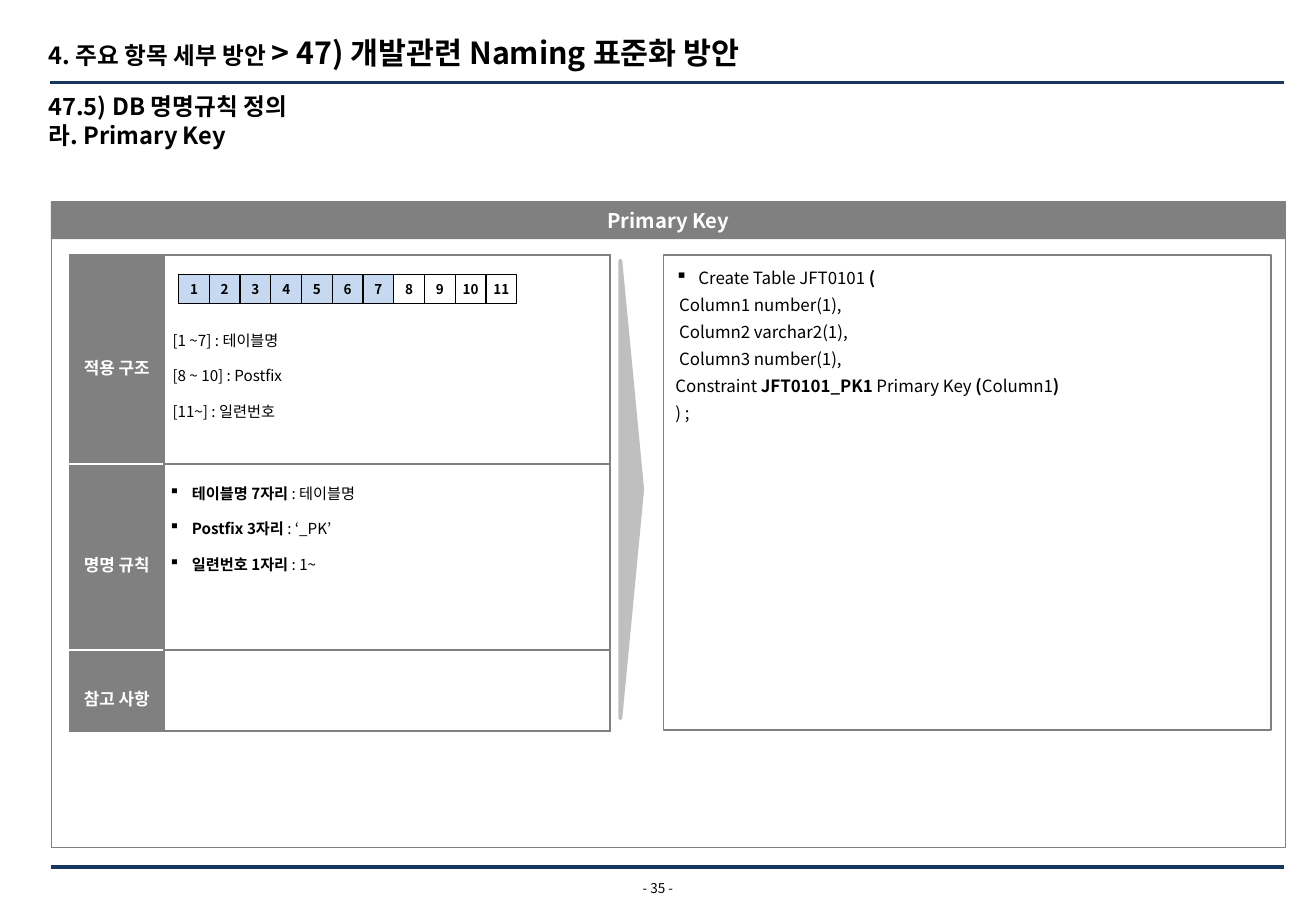
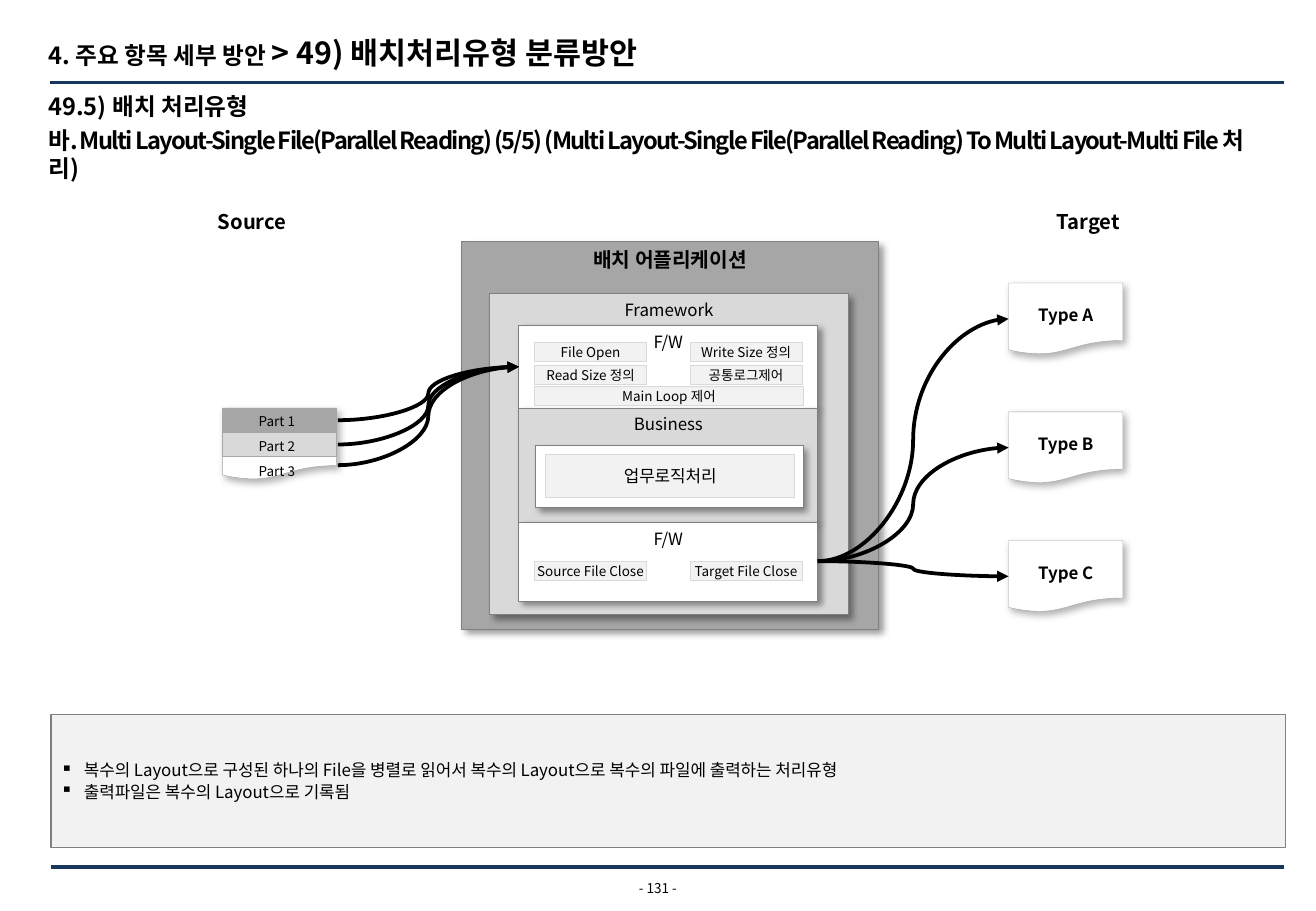
from typing import NamedTuple, Optional

from lxml import etree
from pptx import Presentation
from pptx.dml.color import RGBColor
from pptx.enum.shapes import MSO_CONNECTOR, MSO_SHAPE
from pptx.enum.text import MSO_ANCHOR, MSO_AUTO_SIZE, PP_ALIGN
from pptx.oxml.ns import qn
from pptx.util import Emu, Inches, Pt

RECT, TRIANGLE = MSO_SHAPE.RECTANGLE, MSO_SHAPE.ISOSCELES_TRIANGLE
DOCUMENT = MSO_SHAPE.FLOWCHART_DOCUMENT
STRAIGHT, CURVE = MSO_CONNECTOR.STRAIGHT, MSO_CONNECTOR.CURVE
LEFT, CENTER = PP_ALIGN.LEFT, PP_ALIGN.CENTER
TOP, MIDDLE = MSO_ANCHOR.TOP, MSO_ANCHOR.MIDDLE

BLACK = RGBColor(0x00, 0x00, 0x00)
WHITE = RGBColor(0xFF, 0xFF, 0xFF)
NAVY = RGBColor(0x17, 0x37, 0x5E)
SKY = RGBColor(0xC6, 0xD9, 0xF1)
GRAY = RGBColor(0x80, 0x80, 0x80)
DARK = RGBColor(0xA6, 0xA6, 0xA6)
SILVER = RGBColor(0xBF, 0xBF, 0xBF)
LIGHT = RGBColor(0xD9, 0xD9, 0xD9)
PALE = RGBColor(0xF2, 0xF2, 0xF2)

FONT = "Noto Sans CJK KR"
COLS, ROWS = 108.3, 75
INSETS = (1, 0.5, 1, 0.5)
FLAT = (0, 0, 0, 0)
HEAD_INSETS = (1, 0, 1, 0)
PANEL_SHADOW = (40, 4, 3, 45)
PAGE_SHADOW = (30, 4.5, 2.6, 53)


class Run(NamedTuple):
    text: str
    bold: Optional[bool] = None
    size: Optional[float] = None


def add_xml(parent, tag, **attrs):
    el = etree.SubElement(parent, qn(tag))
    for key, value in attrs.items():
        el.set(key, str(value))
    return el


class Deck:
    def __init__(self):
        self.prs = Presentation()
        self.prs.slide_width = Inches(10.83)
        self.prs.slide_height = Inches(7.5)
        self.s = None

    def x(self, cols):
        return Emu(round(cols * self.prs.slide_width / COLS))

    def y(self, rows):
        return Emu(round(rows * self.prs.slide_height / ROWS))

    def area(self, x, y, w, h):
        return self.x(x), self.y(y), self.x(w), self.y(h)

    def margins(self, target, insets):
        left, top, right, bottom = insets
        target.margin_left, target.margin_right = self.x(left), self.x(right)
        target.margin_top, target.margin_bottom = self.y(top), self.y(bottom)

    def paragraphs(self, tf, paras, size=10, bold=False, color=BLACK, align=LEFT,
                   leading=None, before=0, bullets=0, tracking=None):
        for i, runs in enumerate(paras):
            p = tf.paragraphs[0] if i == 0 else tf.add_paragraph()
            if i < bullets:
                pPr = p._p.get_or_add_pPr()
                pPr.set("marL", str(self.x(1.9)))
                pPr.set("indent", str(-self.x(1.9)))
                add_xml(pPr, "a:buChar", char="▪")
            p.alignment = align
            if leading:
                p.line_spacing = leading
            if i and before:
                p.space_before = Pt(before)
            for run in [Run(runs)] if isinstance(runs, str) else runs:
                r = p.add_run()
                r.text = run.text
                r.font.size = Pt(run.size or size)
                r.font.bold = bold if run.bold is None else run.bold
                r.font.color.rgb = color
                r.font.name = FONT
                rPr = r._r.get_or_add_rPr()
                add_xml(rPr, "a:ea", typeface=FONT)
                if i and tracking:
                    rPr.set("spc", str(tracking))

    def frame(self, sp, paras, anchor, insets, wrap, **style):
        tf = sp.text_frame
        tf.auto_size = MSO_AUTO_SIZE.NONE
        tf.word_wrap = wrap
        tf.vertical_anchor = anchor
        self.margins(tf, insets)
        self.paragraphs(tf, paras, **style)

    def text(self, at, paras, anchor=TOP, insets=INSETS, wrap=True, **style):
        sp = self.s.shapes.add_textbox(*self.area(*at))
        self.frame(sp, paras, anchor, insets, wrap, **style)

    def shape(self, at, kind=RECT, fill=None, line=None, weight=0.5, shadow=None,
              paras=(), anchor=MIDDLE, insets=INSETS, wrap=False, align=CENTER, **style):
        sp = self.s.shapes.add_shape(kind, *self.area(*at))
        if fill is None:
            sp.fill.background()
        else:
            sp.fill.solid()
            sp.fill.fore_color.rgb = fill
        if line is None:
            sp.line.fill.background()
        else:
            sp.line.color.rgb = line
            sp.line.width = Pt(weight)
        sp.shadow.inherit = False
        if shadow:
            alpha, blur, dist, angle = shadow
            outer = add_xml(sp._element.spPr.find(qn("a:effectLst")), "a:outerShdw",
                            blurRad=Pt(blur), dist=Pt(dist), dir=angle * 60000,
                            algn="tl", rotWithShape=0)
            clr = add_xml(outer, "a:srgbClr", val=BLACK)
            add_xml(clr, "a:alpha", val=alpha * 1000)
        if paras:
            self.frame(sp, paras, anchor, insets, wrap, align=align, **style)
        return sp

    def line(self, start, end, kind=STRAIGHT, color=NAVY, arrow=False):
        cn = self.s.shapes.add_connector(kind, self.x(start[0]), self.y(start[1]),
                                         self.x(end[0]), self.y(end[1]))
        cn.line.color.rgb = color
        cn.line.width = Pt(2.25)
        if arrow:
            add_xml(cn.line._get_or_add_ln(), "a:tailEnd", type="triangle")
        add_xml(cn._element.spPr, "a:effectLst")

    def curve(self, start, end):
        self.line(start, end, CURVE, BLACK, True)

    def slide(self, topic, page, heading, **heading_style):
        self.s = self.prs.slides.add_slide(self.prs.slide_layouts[5])
        sp = self.s.shapes.title
        sp.left, sp.top, sp.width, sp.height = self.area(3, 2.5, 102.8, 3.6)
        title = [[Run("4. 주요 항목 세부 방안 ", size=14), Run("> " + topic)]]
        self.frame(sp, title, MIDDLE, HEAD_INSETS, True, size=18, bold=True)
        self.text((3, 7.6, 102.8, 6.3), heading, insets=HEAD_INSETS,
                  size=14, bold=True, **heading_style)
        self.line((4.1, 6.8), (105.7, 6.8))
        self.line((4.2, 71.4), (105.7, 71.4))
        self.text((50.8, 72.5, 6.7, 1.3), [f"- {page} -"], MIDDLE, FLAT, size=8, align=CENTER)

    def cell(self, cell, paras, fill, borders, anchor, insets, **style):
        tcPr = cell._tc.get_or_add_tcPr()
        for side, color in zip("LRTB", borders):
            ln = add_xml(tcPr, "a:ln" + side, w=Pt(1))
            add_xml(add_xml(ln, "a:solidFill"), "a:srgbClr", val=color)
        if fill is None:
            cell.fill.background()
        else:
            cell.fill.solid()
            cell.fill.fore_color.rgb = fill
        cell.vertical_anchor = anchor
        self.margins(cell, insets)
        self.paragraphs(cell.text_frame, paras, leading=1.6, **style)

    def rule_table(self, x, y, widths, rows):
        at = self.area(x, y, sum(widths), sum(row[0] for row in rows))
        table = self.s.shapes.add_table(len(rows), len(widths), *at).table
        table.first_row = table.horz_banding = False
        for column, width in zip(table.columns, widths):
            column.width = self.x(width)
        last = len(rows) - 1
        for i, (height, label, paras, top, bullets) in enumerate(rows):
            table.rows[i].height = self.y(height)
            edges = (GRAY, GRAY, WHITE if i else GRAY, WHITE if i < last else GRAY)
            self.cell(table.cell(i, 0), [label], GRAY, edges, MIDDLE, (1, 0.4, 1, 0.4),
                      bold=True, color=WHITE, align=CENTER)
            left = 0.4 if bullets else 0.7
            self.cell(table.cell(i, 1), paras, None, [GRAY] * 4, TOP,
                      (left, top, 0.4, 0.4), size=9, bullets=bullets)


def primary_key_slide(deck):
    deck.slide("47) 개발관련 Naming 표준화 방안", 35,
               ["47.5) DB 명명규칙 정의", "라. Primary Key"])
    deck.shape((4.2, 16.6, 101.6, 53.2), line=GRAY)
    deck.shape((4.2, 16.6, 101.6, 3.1), fill=GRAY, paras=["Primary Key"],
               size=12, bold=True, color=WHITE)
    structure = ["[1 ~7] : 테이블명", "[8 ~ 10] : Postfix", "[11~] : 일련번호"]
    naming = [[Run("테이블명 7자리", True), Run(" : 테이블명")],
              [Run("Postfix 3자리 ", True), Run(": ‘_PK’")],
              [Run("일련번호 1자리 ", True), Run(": 1~")]]
    deck.rule_table(5.7, 21, (7.8, 36.7), [
        (17.2, "적용 구조", structure, 5, 0),
        (15.3, "명명 규칙", naming, 0.4, 3),
        (6.7, "참고 사항", [], 0.4, 0)])
    for i in range(11):
        deck.shape((14.7 + 2.53 * i, 22.6, 2.53, 2.4), fill=SKY if i < 7 else WHITE,
                   line=BLACK, weight=0.75, paras=[str(i + 1)], insets=FLAT,
                   size=8, bold=True)
    deck.shape((33.1, 39.4, 37.7, 1.8), TRIANGLE, SILVER, SILVER, 2.25).rotation = 90
    code = [[Run("Create Table JFT0101"), Run(" (", True)],
            " Column1 number(1),", " Column2 varchar2(1),", " Column3 number(1),",
            [Run("Constraint"), Run(" JFT0101_PK1 ", True), Run("Primary Key "),
             Run("(", True), Run("Column1"), Run(")", True)],
            ") ;"]
    deck.shape((54.6, 21, 50, 39.1), line=GRAY, weight=0.75, paras=code, anchor=TOP,
               wrap=True, align=LEFT, leading=1.33, bullets=1)


def batch_slide(deck):
    deck.slide("49) 배치처리유형 분류방안", 131,
               ["49.5) 배치 처리유형",
                "바. Multi Layout-Single File(Parallel Reading) (5/5) (Multi Layout-Single "
                "File(Parallel Reading) To Multi Layout-Multi File 처리)"],
               before=3, tracking=-100)
    for x, label in ((9.4, "Source"), (78.2, "Target")):
        deck.text((x, 16.7, 22.7, 3), [label], size=12, bold=True, align=CENTER)
    deck.shape((4.2, 58.8, 101.6, 11), fill=PALE, line=GRAY, weight=0.75,
               paras=["복수의 Layout으로 구성된 하나의 File을 병렬로 읽어서 "
                      "복수의 Layout으로 복수의 파일에 출력하는 처리유형",
                      "출력파일은 복수의 Layout으로 기록됨"],
               insets=(0.8, 0, 0.4, 0), wrap=True, align=LEFT, before=1, bullets=2)

    panels = [((38, 19.9, 34.3, 31.9), DARK, "배치 어플리케이션", 12),
              ((40.3, 24.2, 29.5, 26.4), LIGHT, "Framework", 10),
              ((42.7, 26.8, 24.6, 6.8), WHITE, "F/W", 10),
              ((42.7, 33.6, 24.6, 9.4), LIGHT, "Business", 10),
              ((42.7, 43, 24.6, 6.5), WHITE, "F/W", 10)]
    for at, fill, label, size in panels:
        deck.shape(at, fill=fill, line=GRAY, shadow=PANEL_SHADOW, paras=[label],
                   anchor=TOP, size=size, bold=size > 10)
    deck.shape((44.1, 36.7, 22, 5.1), fill=WHITE, line=GRAY, shadow=PANEL_SHADOW)

    left, right, narrow = 44, 56.8, 9.2
    steps = [((left, 28.2, narrow, 1.6), "File Open", 8),
             ((right, 28.2, narrow, 1.6), "Write Size 정의", 8),
             ((left, 30.1, narrow, 1.6), "Read Size 정의", 8),
             ((right, 30.1, narrow, 1.6), "공통로그제어", 8),
             ((left, 31.8, 22.1, 1.6), "Main Loop 제어", 8),
             ((left, 46.2, narrow, 1.6), "Source File Close", 8),
             ((right, 46.2, narrow, 1.6), "Target File Close", 8),
             ((44.9, 37.4, 20.5, 3.6), "업무로직처리", 10)]
    for at, label, size in steps:
        deck.shape(at, fill=PALE, line=LIGHT, paras=[label], insets=FLAT, size=size)

    for i, label in enumerate(("Type A", "Type B", "Type C")):
        top = 23.3 + 10.6 * i
        deck.shape((83, top, 9.4, 5.9), DOCUMENT, WHITE, DARK, 0.25, PAGE_SHADOW,
                   [label], insets=(1, 0.5, 1, 0), bold=True)
        deck.curve((67.3, 46.2), (83, top + 2.95))

    deck.shape((18.3, 33.6, 9.4, 5.9), DOCUMENT, WHITE, DARK, 0.25, PAGE_SHADOW)
    for i, fill in enumerate((DARK, LIGHT)):
        deck.shape((18.3, 33.6 + 2 * i, 9.4, 2), fill=fill, line=DARK, weight=0.25)
    for i, start in enumerate((34.6, 36.6, 38.3)):
        deck.text((20.3, 33.5 + 2.05 * i, 5.5, 2.4), [f"Part {i + 1}"], wrap=False, size=8)
        deck.curve((27.8, start), (42.7, 30.2))


def main():
    deck = Deck()
    primary_key_slide(deck)
    batch_slide(deck)
    deck.prs.save("out.pptx")


if __name__ == "__main__":
    main()
